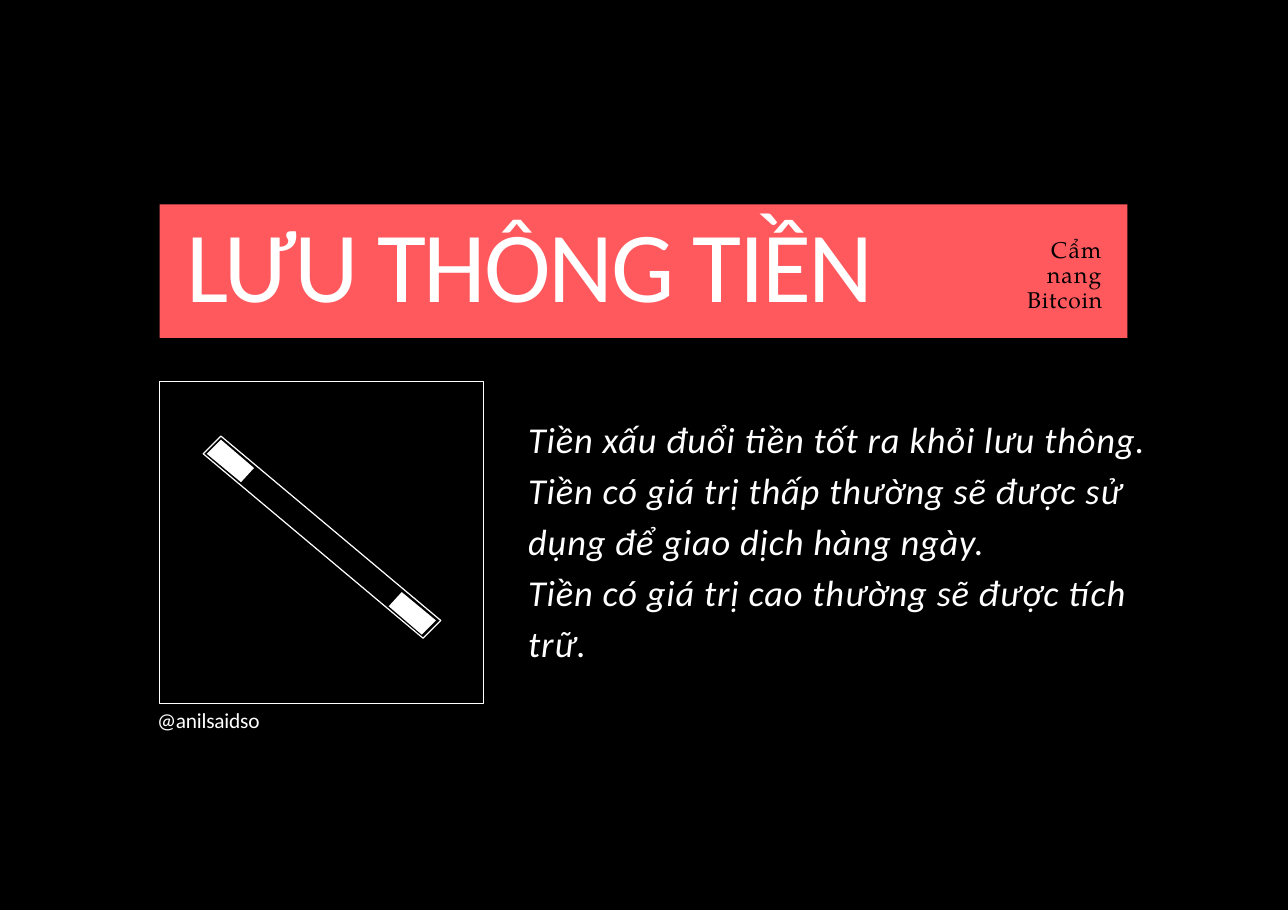
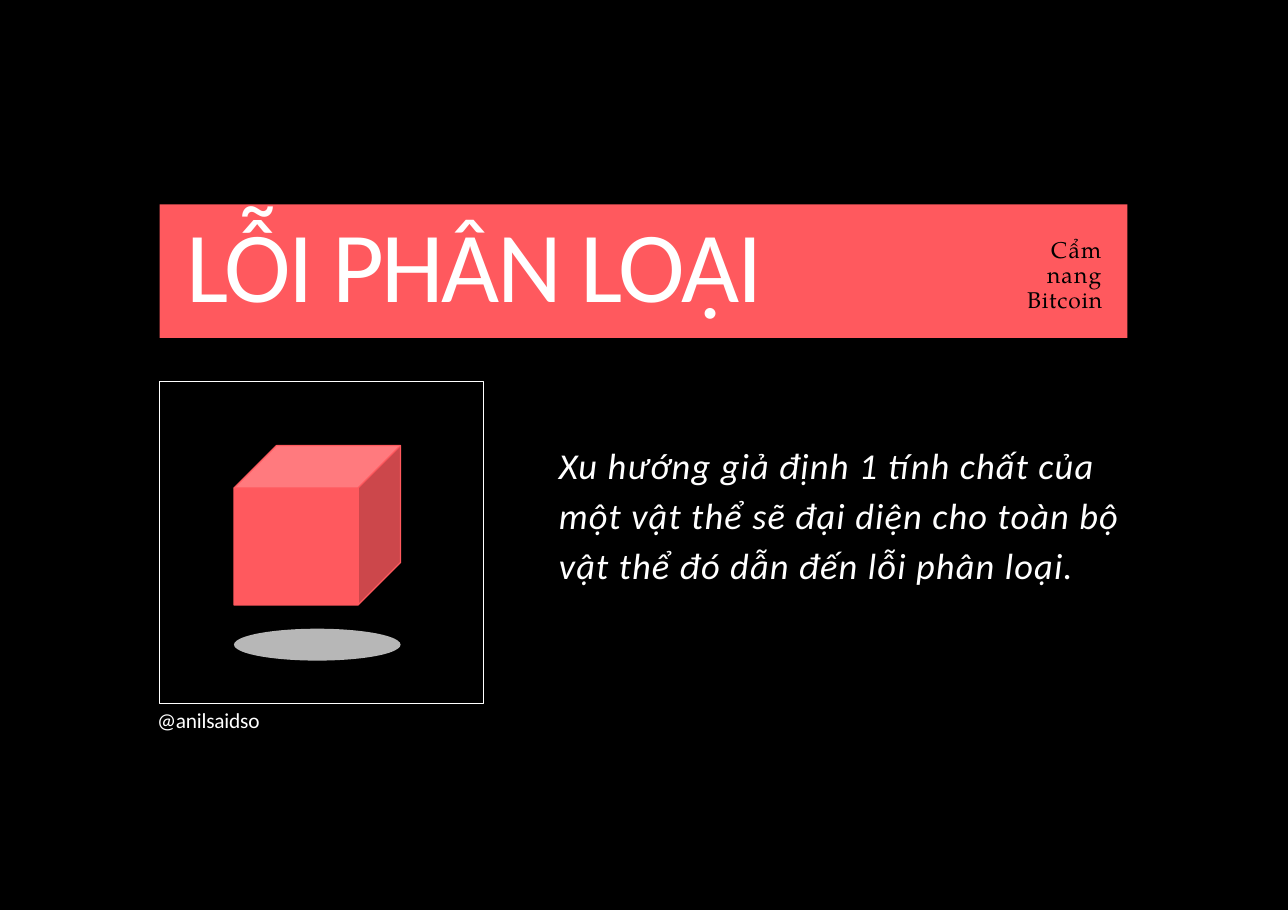
from collections.abc import Callable
from dataclasses import dataclass

from lxml import etree
from pptx import Presentation
from pptx.dml.color import RGBColor
from pptx.enum.shapes import MSO_SHAPE
from pptx.enum.text import MSO_ANCHOR, MSO_AUTO_SIZE, PP_ALIGN
from pptx.oxml.ns import qn
from pptx.util import Inches, Pt

BLACK = RGBColor(0x00, 0x00, 0x00)
WHITE = RGBColor(0xFF, 0xFF, 0xFF)
CORAL = RGBColor(0xFF, 0x59, 0x5E)
GREY = RGBColor(0xB7, 0xB7, 0xB7)

SANS = "Calibri"
SERIF = "TeX Gyre Pagella"

RECTANGLE, CUBE, OVAL = MSO_SHAPE.RECTANGLE, MSO_SHAPE.CUBE, MSO_SHAPE.OVAL
LEFT, RIGHT = PP_ALIGN.LEFT, PP_ALIGN.RIGHT
TOP, NO_FIT = MSO_ANCHOR.TOP, MSO_AUTO_SIZE.NONE
TITLE_AND_CONTENT = 1

Box = tuple[float, float, float, float]  # left, top, width, height in inches
Point = tuple[float, float]


@dataclass(frozen=True)
class TextStyle:
    size: float
    color: RGBColor = WHITE
    font: str = SANS
    italic: bool = False
    align: PP_ALIGN = LEFT
    line_spacing: float | Pt = 1.0
    top_inset: float = 0.02


@dataclass(frozen=True)
class Span:
    text: str
    spacing: float  # letter spacing in points


@dataclass(frozen=True)
class Card:
    title: str
    body: list[str]
    body_box: Box
    body_spacing: float
    draw_figure: Callable


TITLE = TextStyle(61.2)
BODY = TextStyle(22.2, italic=True, line_spacing=1.15)
CAPTION = TextStyle(13)
TAG = TextStyle(13.9, BLACK, SERIF, align=RIGHT, line_spacing=Pt(15.3), top_inset=0.08)


def place(shape, box: Box) -> None:
    shape.left, shape.top, shape.width, shape.height = map(Inches, box)


def write(shape, paragraphs: list[list[Span]], style: TextStyle) -> None:
    """Fill a text box or placeholder with evenly styled paragraphs."""
    frame = shape.text_frame
    frame.word_wrap = True
    frame.auto_size = NO_FIT
    frame.vertical_anchor = TOP
    frame.margin_left = frame.margin_right = frame.margin_bottom = 0
    frame.margin_top = Inches(style.top_inset)
    for index, spans in enumerate(paragraphs):
        para = frame.add_paragraph() if index else frame.paragraphs[0]
        para.alignment = style.align
        para.line_spacing = style.line_spacing
        para.space_before = Pt(0.9 if index else 0)
        # Plain paragraphs, without the template's bullets and indents
        properties = para._p.get_or_add_pPr()
        properties.set("marL", "0")
        properties.set("indent", "0")
        etree.SubElement(properties, qn("a:buNone"))
        font = para.font
        font.name, font.size, font.italic = style.font, Pt(style.size), style.italic
        font.color.rgb = style.color
        for span in spans:
            run = para.add_run()
            run.text = span.text
            run._r.get_or_add_rPr().set("spc", str(round(span.spacing * 100)))


def add_text(page, box: Box, spans: list[Span], style: TextStyle) -> None:
    write(page.shapes.add_textbox(*map(Inches, box)), [spans], style)


def paint(shape, fill: RGBColor | None = None, line: RGBColor | None = None) -> None:
    shape.shadow.inherit = False
    if fill is None:
        shape.fill.background()
    else:
        shape.fill.solid()
        shape.fill.fore_color.rgb = fill
    if line is None:
        shape.line.fill.background()
    else:
        shape.line.color.rgb = line
        shape.line.width = Pt(0.75)


def add_preset(page, kind: MSO_SHAPE, box: Box, fill: RGBColor | None = None,
               line: RGBColor | None = None):
    shape = page.shapes.add_shape(kind, *map(Inches, box))
    paint(shape, fill, line)
    return shape


def add_outline(page, contours: list[list[Point]], fill: RGBColor,
                line: RGBColor | None = None) -> None:
    """Draw closed polygons as one freeform."""
    paths = [[(Inches(x), Inches(y)) for x, y in contour] for contour in contours]
    builder = page.shapes.build_freeform(*paths[0][0])
    for index, path in enumerate(paths):
        if index:
            builder.move_to(*path[0])
        builder.add_line_segments(path[1:], close=True)
    paint(builder.convert_to_shape(), fill, line)


def draw_rod(page) -> None:
    rod = [(1.87, 3.69), (3.73, 5.25), (3.58, 5.4), (1.72, 3.84)]
    upper_tip = [(1.87, 3.72), (2.15, 3.96), (2.04, 4.08), (1.75, 3.84)]
    lower_tip = [(3.4, 5.01), (3.69, 5.25), (3.57, 5.37), (3.29, 5.13)]
    add_outline(page, [rod], BLACK, WHITE)
    add_outline(page, [upper_tip, lower_tip], WHITE)


def draw_floating_cube(page) -> None:
    add_preset(page, OVAL, (1.98, 5.32, 1.41, 0.27), GREY)
    cube = add_preset(page, CUBE, (1.98, 3.77, 1.41, 1.35), CORAL, CORAL)
    cube.adjustments[0] = 0.36 / 1.35  # depth over height


def add_card(deck, card: Card) -> None:
    page = deck.slides.add_slide(deck.slide_layouts[TITLE_AND_CONTENT])
    title, body = page.placeholders

    # Figure frame and title band
    add_preset(page, RECTANGLE, (1.35, 3.23, 2.74, 2.72), line=WHITE)
    add_preset(page, RECTANGLE, (1.35, 1.73, 8.19, 1.13), CORAL)

    # Title, brought in front of its band, and body
    page.shapes._spTree.append(title._element)
    place(title, (1.58, 1.69, 6.55, 1.04))
    write(title, [[Span(card.title, -1.4)]], TITLE)
    place(body, card.body_box)
    write(body, [[Span(text, card.body_spacing)] for text in card.body], BODY)

    # Figure, caption and series tag
    card.draw_figure(page)
    add_text(page, (1.33, 5.96, 1.1, 0.23), [Span("@anilsaidso", -0.1)], CAPTION)
    add_text(page, (8.58, 1.93, 0.75, 0.67),
             [Span("Cẩm nang ", 0.7), Span("Bitcoin", 0.5)], TAG)


CARDS = [
    Card(
        "LƯU THÔNG TIỀN",
        [
            "Tiền xấu đuổi tiền tốt ra khỏi lưu thông.",
            "Tiền có giá trị thấp thường sẽ được sử dụng để giao dịch hàng ngày.",
            "Tiền có giá trị cao thường sẽ được tích trữ.",
        ],
        (4.47, 3.45, 5.38, 2.17), 0.5, draw_rod,
    ),
    Card(
        "LỖI PHÂN LOẠI",
        ["Xu hướng giả định 1 tính chất của một vật thể sẽ đại diện cho toàn bộ "
         "vật thể đó dẫn đến lỗi phân loại."],
        (4.73, 3.67, 4.81, 1.28), 0.7, draw_floating_cube,
    ),
]


def main() -> None:
    deck = Presentation()
    deck.slide_width, deck.slide_height = Inches(10.9), Inches(7.7)
    backdrop = deck.slide_master.background.fill
    backdrop.solid()
    backdrop.fore_color.rgb = BLACK
    for card in CARDS:
        add_card(deck, card)
    deck.save("out.pptx")


if __name__ == "__main__":
    main()
